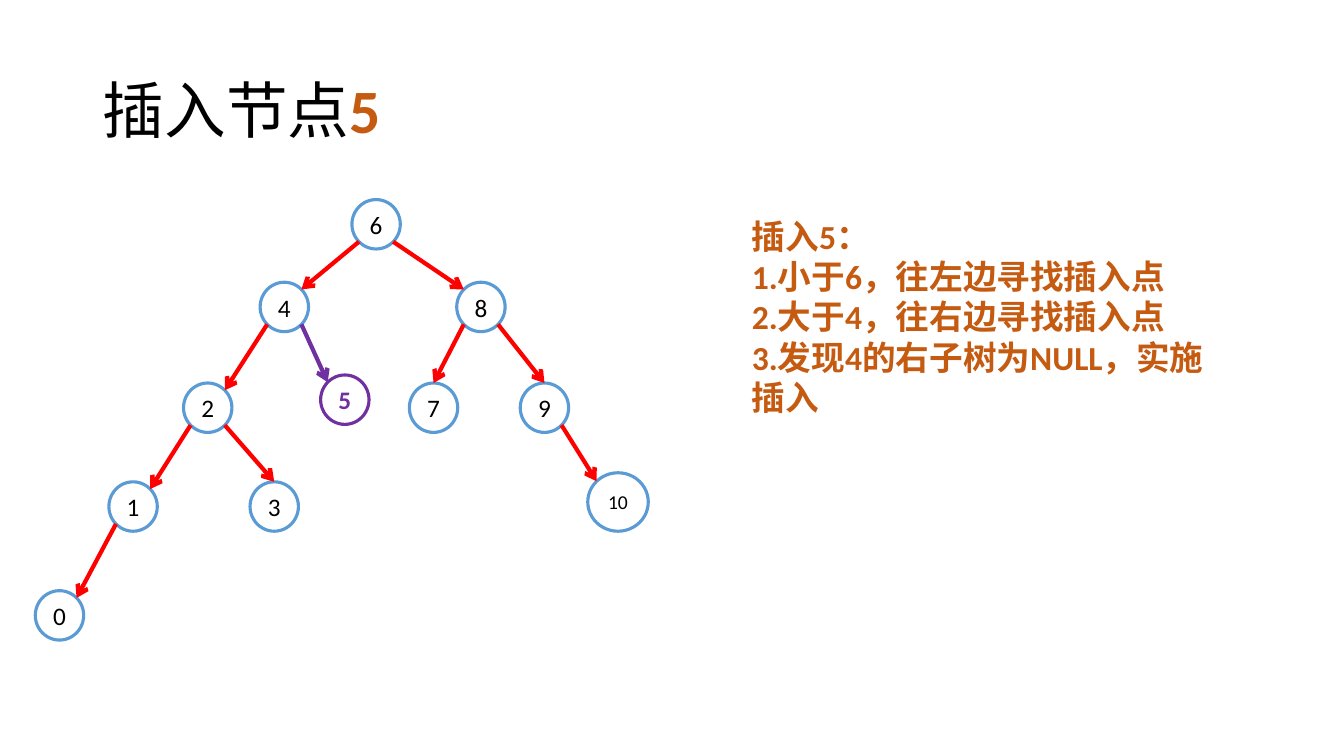
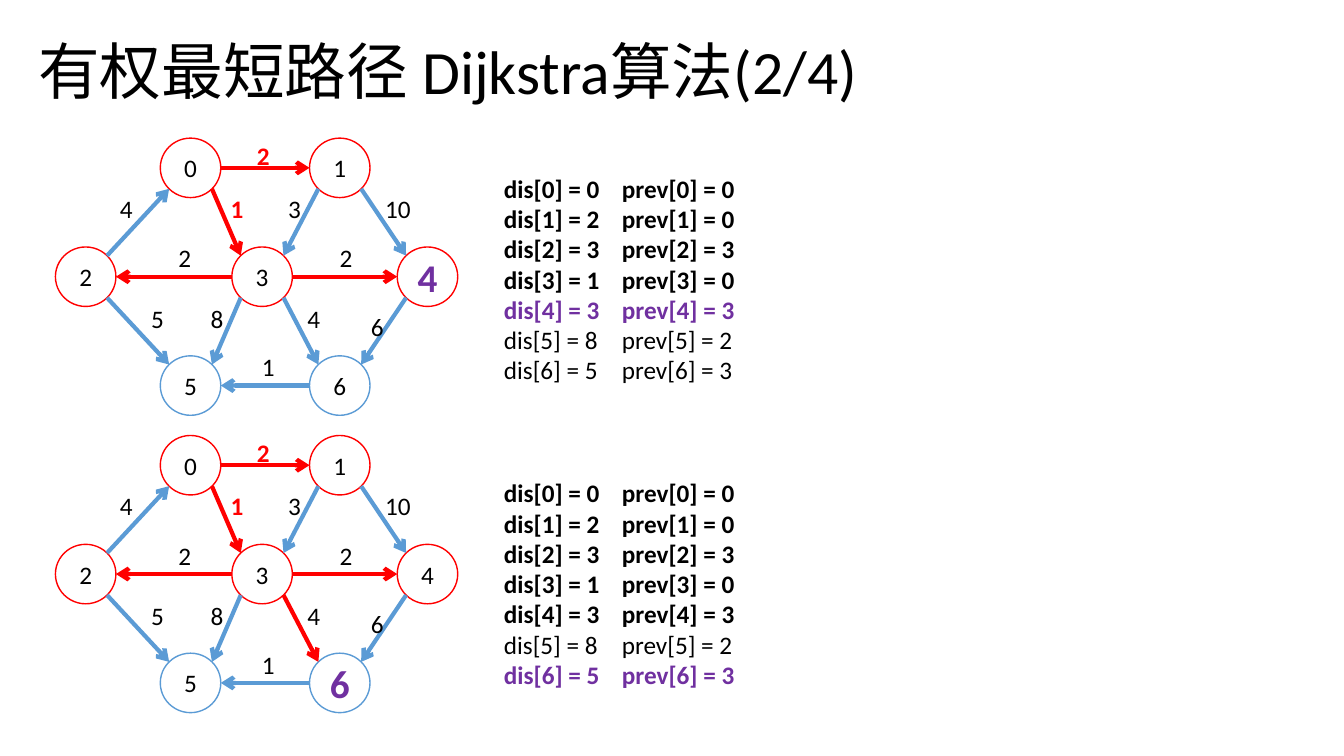
from dataclasses import dataclass
from math import sqrt

from lxml.etree import SubElement
from pptx import Presentation
from pptx.dml.color import RGBColor
from pptx.enum.shapes import MSO_CONNECTOR, MSO_SHAPE
from pptx.enum.text import MSO_ANCHOR, MSO_AUTO_SIZE, PP_ALIGN
from pptx.oxml.ns import qn
from pptx.util import Inches, Pt


@dataclass(frozen=True)
class Theme:
    font: str = "Calibri"
    black: str = "000000"
    white: str = "FFFFFF"
    blue: str = "5B9BD5"
    red: str = "FF0000"
    purple: str = "7030A0"
    orange: str = "C55A11"
    title: int = 44
    large: int = 28
    note: int = 24
    body: int = 18
    small: int = 14
    arrow: float = 3


T = Theme()

# Binary tree: value -> left, top, width, height
SMALL = (0.48, 0.49)
TREE = {
    6: (3.49, 1.98, *SMALL),
    4: (2.58, 2.8, *SMALL),
    8: (4.53, 2.8, *SMALL),
    2: (1.82, 3.8, *SMALL),
    3: (2.48, 4.78, *SMALL),
    7: (4.06, 3.8, *SMALL),
    9: (5.16, 3.8, *SMALL),
    1: (1.08, 4.78, *SMALL),
    10: (5.83, 4.69, 0.6, 0.58),
    0: (0.35, 5.86, *SMALL),
    5: (3.18, 3.72, *SMALL),
}
LINKS = [(6, 4), (4, 2), (2, 1), (1, 0), (2, 3),
         (8, 9), (8, 7), (9, 10), (6, 8), (4, 5)]
TOP_ENDS = {3, 7, 9}  # children whose arrow ends at the top
NEW = 5
STEPS = [
    "插入5：",
    "1.小于6，往左边寻找插入点",
    "2.大于4，往右边寻找插入点",
    "3.发现4的右子树为NULL，实施插入",
]

# Weighted graph, with heights measured from its upper edge
ROWS = (0, 1.08, 2.16)
SPOTS = {0: (1.59, 0), 2: (0.55, 1), 1: (3.07, 0), 5: (1.59, 2),
         6: (3.07, 2), 4: (3.94, 1), 3: (2.3, 1)}
DISC = (0.6, 0.59)
EDGES = [  # source, target, weight, label left, label top
    (0, 1, 2, 2.45, -0.03), (1, 4, 10, 3.72, 0.5),
    (1, 3, 3, 2.76, 0.5), (0, 3, 1, 2.19, 0.5),
    (2, 0, 4, 1.09, 0.5), (3, 2, 2, 1.67, 0.99),
    (3, 4, 2, 3.27, 0.99), (4, 6, 6, 3.58, 1.67),
    (6, 5, 1, 2.5, 2.07), (2, 5, 5, 1.4, 1.59),
    (3, 5, 8, 1.99, 1.59), (3, 6, 4, 2.95, 1.59),
]
DIS = [0, 2, 3, 1, 3, 8, 5]
PREV = [0, 0, 3, 0, 3, 2, 3]
DONE = {0, 1, 2, 3, 4}
STAGES = [(1.37, 1.67, 4), (4.32, 4.69, 6)]  # graph top, list top, current


def style(para, size, color=T.black, bold=False):
    for run in para.runs:
        font = run.font
        font.name, font.size, font.bold = T.font, Pt(size), bold
        font.color.rgb = RGBColor.from_string(color)


def new_slide(deck, left, top, parts):
    """Add a title-only slide; parts are (text, colour, bold)."""
    slide = deck.slides.add_slide(deck.slide_layouts[5])
    title = slide.shapes.title
    title.left, title.top = Inches(left), Inches(top)
    title.width, title.height = Inches(11.5), Inches(1.45)
    frame = title.text_frame
    frame.auto_size = MSO_AUTO_SIZE.NONE
    frame.vertical_anchor = MSO_ANCHOR.MIDDLE
    para = frame.paragraphs[0]
    para.alignment, para.line_spacing = PP_ALIGN.LEFT, 0.9
    for text, color, bold in parts:
        run = para.add_run()
        run.text = text
        run.font.name, run.font.size, run.font.bold = T.font, Pt(T.title), bold
        run.font.color.rgb = RGBColor.from_string(color)
    return slide


def add_node(shapes, box, value, line, width, size=T.body,
             color=T.black, bold=False):
    node = shapes.add_shape(MSO_SHAPE.OVAL, *map(Inches, box))
    node.shadow.inherit = False
    node.fill.solid()
    node.fill.fore_color.rgb = RGBColor.from_string(T.white)
    node.line.color.rgb = RGBColor.from_string(line)
    node.line.width = Pt(width)
    frame = node.text_frame
    frame.text = str(value)
    frame.vertical_anchor = MSO_ANCHOR.MIDDLE
    frame.paragraphs[0].alignment = PP_ALIGN.CENTER
    style(frame.paragraphs[0], size, color, bold)


def site(box, dx, dy):
    """Point on an ellipse in one of eight directions."""
    left, top, width, height = box
    reach = 0.5 / sqrt(dx * dx + dy * dy)
    return (Inches(left + width * (0.5 + dx * reach)),
            Inches(top + height * (0.5 + dy * reach)))


def sign(value):
    return (value > 0) - (value < 0)


def add_arrow(shapes, start, end, color, top=False):
    dx, dy = sign(end[0] - start[0]), sign(end[1] - start[1])
    goal = (0, -1) if top else (-dx, -dy)
    line = shapes.add_connector(MSO_CONNECTOR.STRAIGHT,
                                *site(start, dx, dy), *site(end, *goal))
    line.line.color.rgb = RGBColor.from_string(color)
    line.line.width = Pt(T.arrow)
    SubElement(line.line._get_or_add_ln(), qn("a:tailEnd"), type="arrow")
    SubElement(line._element.spPr, qn("a:effectLst"))


def add_text(shapes, box, lines, size, tab=None):
    """Add a text box; lines are (text, colour, bold)."""
    shape = shapes.add_textbox(*map(Inches, box))
    frame = shape.text_frame
    frame.word_wrap = True
    frame.text = "\n".join(text for text, _, _ in lines)
    for para, (_, color, bold) in zip(frame.paragraphs, lines):
        if tab:
            stops = SubElement(para._p.get_or_add_pPr(), qn("a:tabLst"))
            SubElement(stops, qn("a:tab"), pos=str(Inches(tab)), algn="l")
        style(para, size, color, bold)


def draw_tree(slide):
    shapes = slide.shapes.add_group_shape().shapes
    for value, box in TREE.items():
        fresh = value == NEW
        add_node(shapes, box, value, T.purple if fresh else T.blue, 2.25,
                 T.small if value > 9 else T.body,
                 T.purple if fresh else T.black, fresh)
    for start, end in LINKS:
        add_arrow(shapes, TREE[start], TREE[end],
                  T.purple if end == NEW else T.red, end in TOP_ENDS)


def draw_graph(slide, top, current):
    shapes = slide.shapes.add_group_shape().shapes
    boxes = {value: (left, top + ROWS[row], *DISC)
             for value, (left, row) in SPOTS.items()}
    for value, box in boxes.items():
        line = T.red if value in DONE else T.blue
        look = (T.large, T.purple, True) if value == current else ()
        add_node(shapes, box, value, line, 1, *look)
    for start, end, *_ in EDGES:
        chosen = end in DONE | {current} and PREV[end] == start
        add_arrow(shapes, boxes[start], boxes[end],
                  T.red if chosen else T.blue)
    for start, _, weight, left, drop in EDGES:
        first = start == 0
        width = 0.55 if weight > 9 else 0.31
        add_text(shapes, (left, top + drop, width, 0.4),
                 [(str(weight), T.red if first else T.black, first)], T.body)


def list_costs(slide, top, current):
    lines = [(f"dis[{i}] = {cost}\tprev[{i}] = {back}",
              T.purple if i == current else T.black,
              i in DONE | {current})
             for i, (cost, back) in enumerate(zip(DIS, PREV))]
    add_text(slide.shapes, (4.9, top, 2.63, 2.22), lines, T.body, tab=1.17)


def main():
    deck = Presentation()
    deck.slide_width, deck.slide_height = Inches(13.33), Inches(7.5)

    # Tree insertion
    slide = new_slide(deck, 0.92, 0.4, [("插入节点", T.black, False),
                                        (str(NEW), T.orange, True)])
    draw_tree(slide)
    add_text(slide.shapes, (7.36, 2.09, 4.95, 2.12),
             [(step, T.orange, True) for step in STEPS], T.note)

    # Shortest paths
    slide = new_slide(deck, 0.28, 0.01,
                      [("有权最短路径 Dijkstra算法(2/4)", T.black, False)])
    for top, list_top, current in STAGES:
        draw_graph(slide, top, current)
        list_costs(slide, list_top, current)

    deck.save("out.pptx")


if __name__ == "__main__":
    main()
